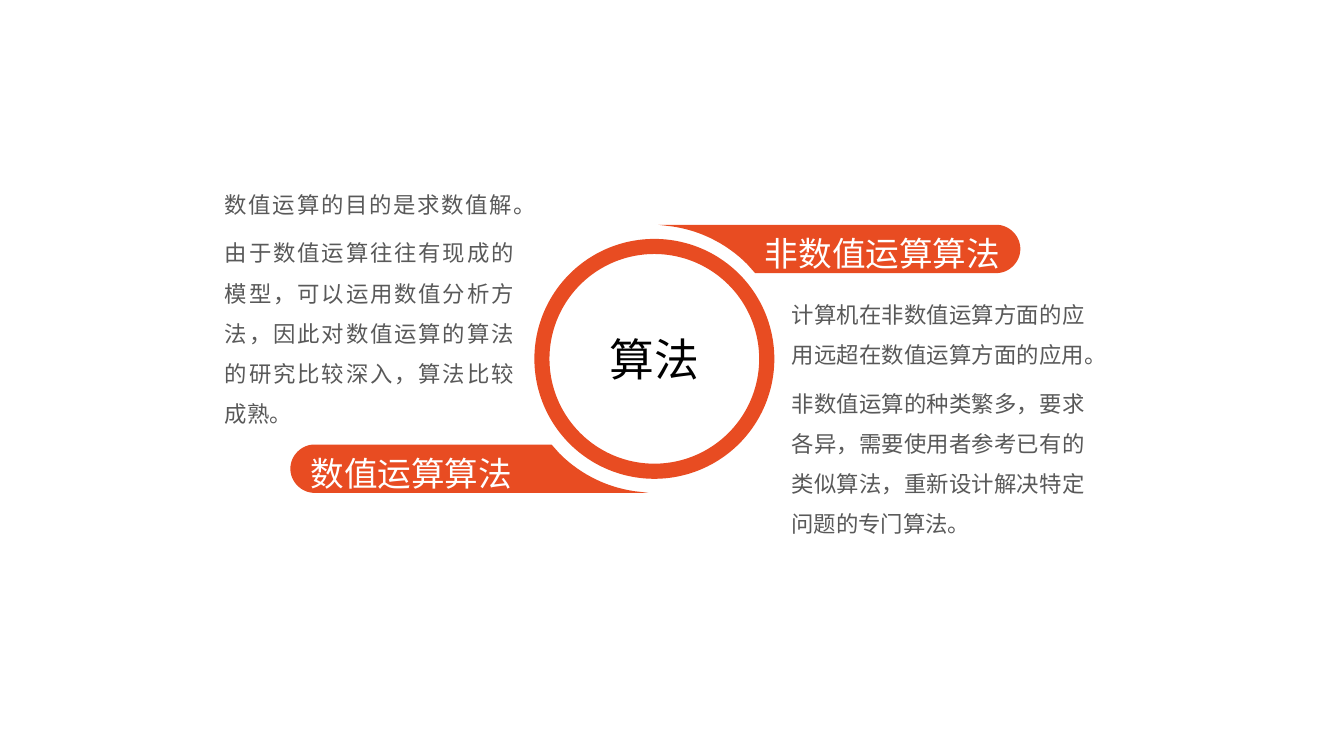
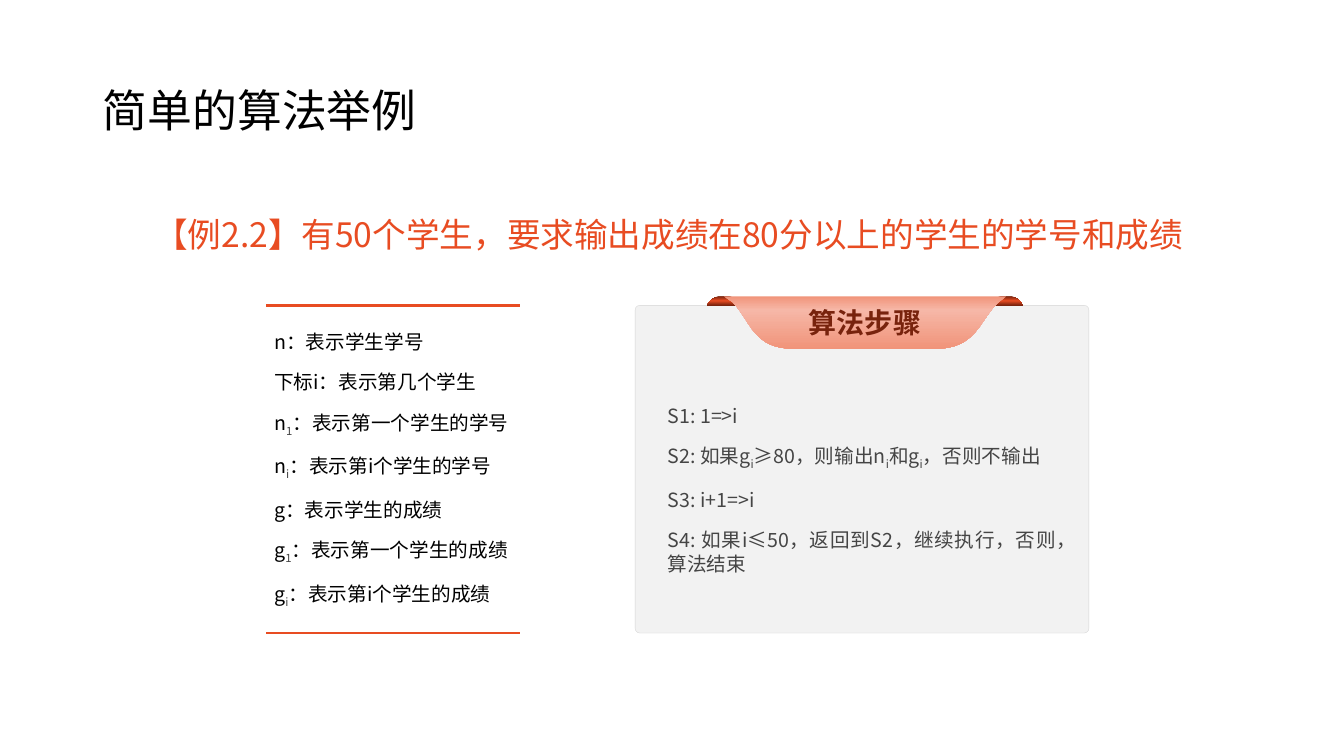
"""Build two slides on kinds of algorithms and a worked example."""
from copy import deepcopy
from dataclasses import dataclass, replace
from typing import Optional

from lxml.etree import SubElement
from pptx import Presentation
from pptx.dml.color import RGBColor
from pptx.enum.shapes import MSO_CONNECTOR as CONN, MSO_SHAPE as SHAPE
from pptx.enum.text import MSO_ANCHOR as ANCHOR, MSO_AUTO_SIZE as AUTO, PP_ALIGN as ALIGN
from pptx.oxml.ns import qn
from pptx.util import Inches, Pt

ORANGE = RGBColor(0xE8, 0x4C, 0x22)
MAROON = RGBColor(0x78, 0x23, 0x0D)
SALMON = RGBColor(0xF1, 0x94, 0x7A)
PINK = RGBColor(0xF6, 0xB7, 0xA7)
WHITE = RGBColor(0xFF, 0xFF, 0xFF)
BLACK = RGBColor(0, 0, 0)
GREY = RGBColor(0x59, 0x59, 0x59)
DARK_GREY = RGBColor(0x45, 0x45, 0x45)
PANEL = RGBColor(0xF2, 0xF2, 0xF2)
PANEL_EDGE = RGBColor(0xD5, 0xD5, 0xD5)
FONT = "Noto Sans CJK SC"

Point = tuple[float, float]
Box = tuple[float, float, float, float]


@dataclass(frozen=True)
class Style:
    """Text formatting; lengths in inches, sizes and spacing in points."""
    size: int
    color: RGBColor
    font: str = FONT
    bold: bool = False
    align: ALIGN = ALIGN.LEFT
    anchor: ANCHOR = ANCHOR.MIDDLE
    insets: Box = (0.1, 0.05, 0.1, 0.05)
    line: float = 1
    before: int = 0
    after: int = 0
    sub_color: Optional[RGBColor] = None


@dataclass(frozen=True)
class Tab:
    """A label that sweeps from the ring to a round cap."""
    text: str
    side: int
    reach: float
    style: Style


@dataclass(frozen=True)
class Note:
    """A block of explanatory paragraphs."""
    box: Box
    anchor: ANCHOR
    texts: tuple[str, ...]


TITLE = Style(32, BLACK, line=0.9)
TOPIC = Style(24, ORANGE, anchor=ANCHOR.TOP, line=1.2, before=10)
RING = Style(32, BLACK, align=ALIGN.CENTER, insets=(0, 0, 0, 0))
LABEL = Style(24, WHITE, insets=(0.2, 0.05, 0.2, 0.05), line=1.2)
NOTE = Style(16, GREY, align=ALIGN.JUSTIFY, insets=(0, 0.16, 0.2, 0.16), line=1.5, before=6)
STEPS = Style(14, DARK_GREY, align=ALIGN.JUSTIFY, insets=(0.31, 0.79, 0.31, 0.39),
              before=6, after=6, sub_color=DARK_GREY)
SYMBOLS = replace(STEPS, color=BLACK, insets=(0.08,) * 4)
RIBBON = Style(20, MAROON, bold=True, align=ALIGN.CENTER)

TABS = (
    Tab("非数值运算算法", 1, 3.4, replace(LABEL, font="Arial Narrow", align=ALIGN.RIGHT)),
    Tab("数值运算算法", -1, 3.36, LABEL),
)
NOTES = (
    Note((2.23, 2.06, 3.07, 2.34), ANCHOR.BOTTOM, (
        "数值运算的目的是求数值解。",
        "由于数值运算往往有现成的模型，可以运用数值分析方法，因此对数值运算的算法的研究比较深入，算法比较成熟。")),
    Note((7.85, 2.69, 3.11, 1.89), ANCHOR.TOP, (
        "计算机在非数值运算方面的应用远超在数值运算方面的应用。",
        "非数值运算的种类繁多，要求各异，需要使用者参考已有的类似算法，重新设计解决特定问题的专门算法。")),
)
SYMBOL_TEXTS = (
    "n：表示学生学号",
    "下标i：表示第几个学生",
    "n~1~：表示第一个学生的学号",
    "n~i~：表示第i个学生的学号",
    "g：表示学生的成绩",
    "g~1~：表示第一个学生的成绩",
    "g~i~：表示第i个学生的成绩",
)
STEP_TEXTS = (
    "S1: 1=>i",
    "S2: 如果g~i~≥80，则输出n~i~和g~i~，否则不输出",
    "S3: i+1=>i",
    "S4: 如果i≤50，返回到S2，继续执行，否则，算法结束",
)


def inches(box: Box) -> list[Inches]:
    """Convert a box in inches to lengths."""
    return [Inches(v) for v in box]


def write(sp, texts: tuple[str, ...], style: Style) -> None:
    """Fill a shape with paragraphs; text between tildes is subscript."""
    tf = sp.text_frame
    tf.word_wrap = True
    tf.auto_size = AUTO.NONE
    tf.vertical_anchor = style.anchor
    tf.margin_left, tf.margin_top, tf.margin_right, tf.margin_bottom = inches(style.insets)
    for i, text in enumerate(texts):
        p = tf.add_paragraph() if i else tf.paragraphs[0]
        p.alignment = style.align
        p.line_spacing = style.line
        p.space_before, p.space_after = Pt(style.before), Pt(style.after)
        for k, part in enumerate(text.split("~")):
            r = p.add_run()
            r.text = part
            r.font.size = Pt(style.size)
            r.font.bold = style.bold
            r.font.name = style.font
            r.font.color.rgb = style.sub_color if k % 2 else style.color
            rpr = r._r.get_or_add_rPr()
            SubElement(rpr, qn("a:ea")).set("typeface", FONT)
            if k % 2:
                rpr.set("baseline", "-25000")


def paint(sp, color: RGBColor) -> None:
    """Give a shape a flat fill without outline or shadow."""
    sp.shadow.inherit = False
    sp.fill.solid()
    sp.fill.fore_color.rgb = color
    sp.line.fill.background()


def shade(sp, edge: RGBColor, middle: RGBColor, position: float) -> None:
    """Give a shape a vertical three-stop gradient."""
    sp.shadow.inherit = False
    sp.line.fill.background()
    sp.fill.gradient()
    sp.fill.gradient_angle = 270
    first = sp.fill.gradient_stops[0]._gs
    first.addnext(deepcopy(first))
    stops = ((0, edge), (position, middle), (1, edge))
    for stop, (place, color) in zip(sp.fill.gradient_stops, stops):
        stop.position = place
        stop.color.rgb = color


def curve(a: Point, b: Point, c: Point, d: Point, steps: int = 16) -> list[Point]:
    """Sample a cubic curve, leaving out its first point."""
    points = []
    for i in range(1, steps + 1):
        t = i / steps
        u = 1 - t
        weights = (u ** 3, 3 * u * u * t, 3 * u * t * t, t ** 3)
        points.append(tuple(sum(w * q[n] for w, q in zip(weights, (a, b, c, d)))
                            for n in (0, 1)))
    return points


def outline(start: Point, *segments: tuple[Point, ...]) -> list[Point]:
    """Join line segments (one point) and curves (three points)."""
    points = [start]
    for segment in segments:
        points += curve(points[-1], *segment) if len(segment) == 3 else segment
    return points


def draw_outline(shapes, points: list[Point]):
    """Draw a closed freeform through the points."""
    start, *rest = [(Inches(x), Inches(y)) for x, y in points]
    builder = shapes.build_freeform(*start)
    builder.add_line_segments(rest, close=True)
    return builder.convert_to_shape()


def draw_tab(s, tab: Tab) -> None:
    """Draw a tab around the ring centre, turned half round when side is -1."""
    reach, cap = tab.reach, tab.reach + 0.24
    points = outline(
        (0.05, -1.33), ((reach, -1.33),),
        ((reach + 0.13, -1.33), (cap, -1.22), (cap, -1.09)),
        ((cap, -0.96), (reach + 0.13, -0.85), (reach, -0.85)),
        ((1.01, -0.85),), ((0.93, -0.94),),
        ((0.72, -1.15), (0.44, -1.29), (0.13, -1.32)))
    sp = draw_outline(s.shapes, [(6.48 + tab.side * x, 3.56 + tab.side * y) for x, y in points])
    paint(sp, ORANGE)
    write(sp, (tab.text,), tab.style)


def draw_textbox(s, box: Box, texts: tuple[str, ...], style: Style) -> None:
    """Add a formatted text box."""
    write(s.shapes.add_textbox(*inches(box)), texts, style)


def draw_rule(s, left: float, right: float, y: float) -> None:
    """Draw a horizontal orange rule."""
    c = s.shapes.add_connector(CONN.STRAIGHT, *inches((left, y, right, y)))
    c.line.color.rgb = ORANGE
    c.line.width = Pt(2)
    SubElement(c._element.spPr, qn("a:effectLst"))


def fill_placeholder(sp, box: Box, text: str, style: Style) -> None:
    """Move a placeholder and write unbulleted text in it."""
    sp.left, sp.top, sp.width, sp.height = inches(box)
    write(sp, (text,), style)
    ppr = sp.text_frame.paragraphs[0]._p.get_or_add_pPr()
    ppr.set("marL", "0")
    ppr.set("indent", "0")
    SubElement(ppr, qn("a:buNone"))


def draw_steps(s) -> None:
    """Draw the grouped panel with its rolled ribbon."""
    shapes = s.shapes.add_group_shape().shapes
    sp = shapes.add_shape(SHAPE.ROUNDED_RECTANGLE, *inches((6.3, 3.03, 4.5, 3.25)))
    sp.adjustments[0] = 0.014
    paint(sp, PANEL)
    sp.line.color.rgb = PANEL_EDGE
    sp.line.width = Pt(0.25)
    write(sp, STEP_TEXTS, STEPS)
    middle = 8.58
    roll = outline(
        (-1.42, 2.94), ((-1.35, 2.94),),
        ((-1.29, 2.95), (-1.25, 2.98), (-1.23, 3.02)),
        ((-1.23, 3.03),), ((-1.57, 3.03),), ((-1.56, 3.02),),
        ((-1.54, 2.98), (-1.5, 2.95), (-1.45, 2.94)))
    for side in (1, -1):
        shade(draw_outline(shapes, [(middle + side * x, y) for x, y in roll]),
              MAROON, ORANGE, 0.49)
    sp = draw_outline(shapes, outline(
        (7.18, 2.94), ((9.98, 2.94),), ((9.89, 3.01),),
        ((9.71, 3.19), (9.68, 3.46), (9.27, 3.46)), ((7.88, 3.46),),
        ((7.47, 3.46), (7.45, 3.19), (7.27, 3))))
    shade(sp, SALMON, PINK, 0.26)
    write(sp, ("算法步骤",), RIBBON)


def build_kinds(prs) -> None:
    """Build the slide on the two kinds of algorithms."""
    s = prs.slides.add_slide(prs.slide_layouts[6])
    for tab in TABS:
        draw_tab(s, tab)
    sp = s.shapes.add_shape(SHAPE.DONUT, *inches((5.3, 2.37, 2.38, 2.38)))
    sp.adjustments[0] = 0.063
    paint(sp, ORANGE)
    write(sp, ("算法",), RING)
    for note in NOTES:
        draw_textbox(s, note.box, note.texts, replace(NOTE, anchor=note.anchor))


def build_example(prs) -> None:
    """Build the slide with the worked example."""
    s = prs.slides.add_slide(prs.slide_layouts[1])
    fill_placeholder(s.shapes.title, (0.92, 0.4, 11.5, 1.45), "简单的算法举例", TITLE)
    fill_placeholder(s.placeholders[1], (1.43, 1.99, 11.12, 0.64),
                     "【例2.2】有50个学生，要求输出成绩在80分以上的学生的学号和成绩", TOPIC)
    draw_steps(s)
    left, top, width, height = box = (2.64, 3.03, 2.52, 3.25)
    draw_textbox(s, box, SYMBOL_TEXTS, SYMBOLS)
    for y in (top, top + height):
        draw_rule(s, left, left + width, y)


def main() -> None:
    """Create and save the presentation."""
    prs = Presentation()
    prs.slide_width, prs.slide_height = Inches(13.33), Inches(7.5)
    build_kinds(prs)
    build_example(prs)
    prs.save("out.pptx")


if __name__ == "__main__":
    main()
